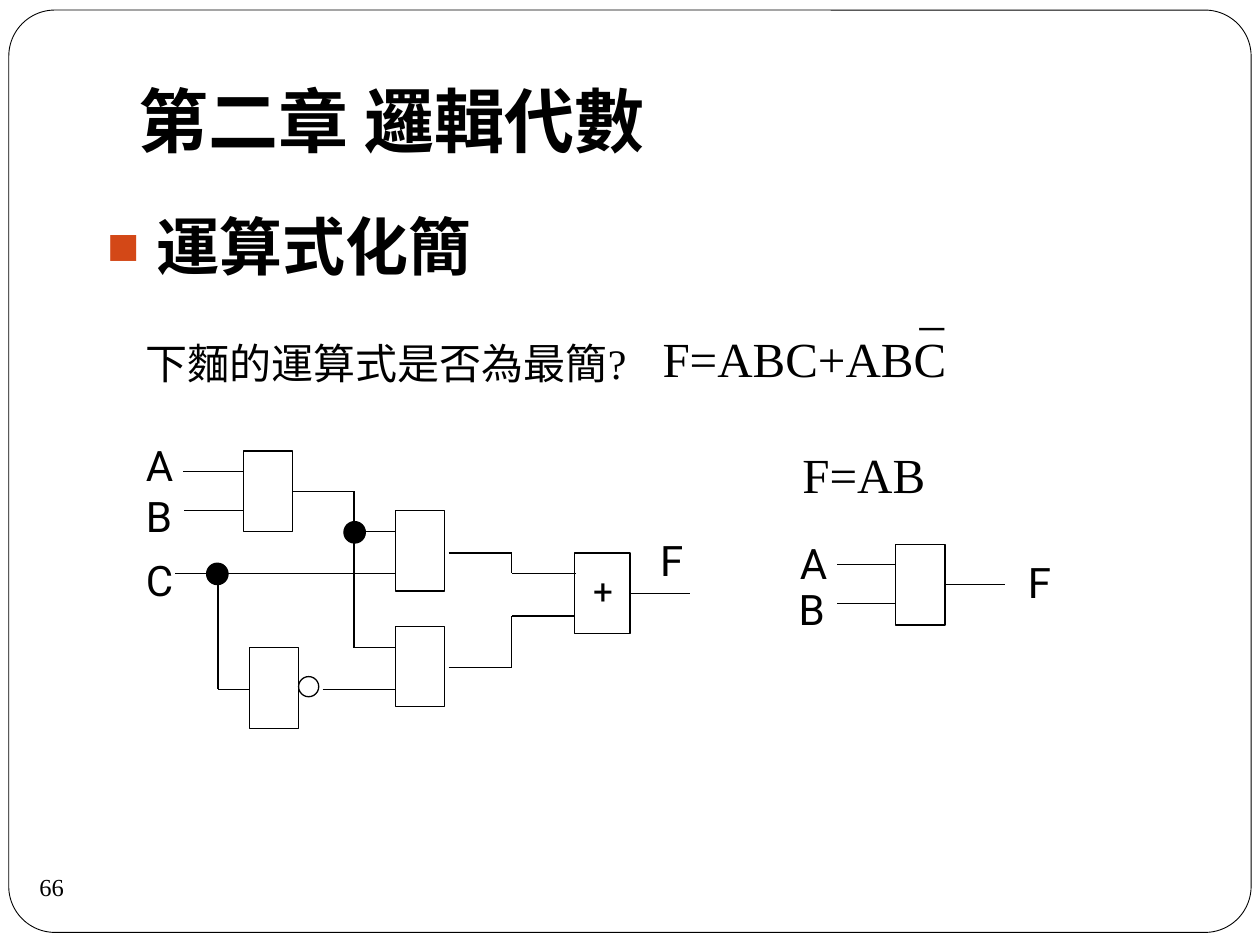
import pptx
import pptx.util
import pptx.dml.color
import pptx.enum.shapes
import pptx.enum.text
import pptx.oxml.ns
from lxml import etree

PX = 9144
BLACK = "000000"
CJK = "Noto Sans CJK JP"
SERIF = "Times New Roman"
SANS = "Roboto"
SHAPE = pptx.enum.shapes.MSO_SHAPE
ALIGN = pptx.enum.text.PP_ALIGN
ANCHOR = pptx.enum.text.MSO_ANCHOR
qn = pptx.oxml.ns.qn


def paint(color_format, color):
    color_format.rgb = pptx.dml.color.RGBColor.from_string(color)


def write(paragraph, text, size, face, bold=False):
    run = paragraph.add_run()
    run.text = text
    run.font.size = pptx.util.Pt(size)
    run.font.name = face
    run.font.bold = bold
    paint(run.font.color, BLACK)
    if face == CJK:
        etree.SubElement(run._r.get_or_add_rPr(), qn("a:ea"), typeface=face)


deck = pptx.Presentation()
deck.slide_width = 1000 * PX
deck.slide_height = 750 * PX
slide = deck.slides.add_slide(deck.slide_layouts[1])

frame = slide.shapes.add_shape(SHAPE.ROUNDED_RECTANGLE, 7 * PX, 8 * PX, 986 * PX, 732 * PX)
frame.adjustments[0] = 0.05
frame.shadow.inherit = False
frame.fill.solid()
paint(frame.fill.fore_color, "FFFFFF")
paint(frame.line.color, BLACK)
frame.line.width = pptx.util.Pt(0.5)
slide.shapes._spTree.insert(2, frame._element)

page_number = slide.shapes.add_shape(SHAPE.OVAL, 16 * PX, 679 * PX, 50 * PX, 50 * PX)
page_number.shadow.inherit = False
page_number.fill.background()
page_number.line.fill.background()
number_text = page_number.text_frame
number_text.margin_left = number_text.margin_right = 0
number_text.margin_top = number_text.margin_bottom = 0
number_text.word_wrap = False
number_text.vertical_anchor = ANCHOR.MIDDLE
number_text.paragraphs[0].alignment = ALIGN.CENTER
write(number_text.paragraphs[0], "66", 14, SERIF)

chapter = slide.shapes.title
chapter.left, chapter.top, chapter.width, chapter.height = 100 * PX, 30 * PX, 850 * PX, 108 * PX
chapter.text_frame.vertical_anchor = ANCHOR.BOTTOM
chapter.text_frame.margin_bottom = 10 * PX
chapter.text_frame.paragraphs[0].alignment = ALIGN.LEFT
write(chapter.text_frame.paragraphs[0], "第二章 邏輯代數", 40, CJK, True)

topic = slide.placeholders[1]
topic.left, topic.top, topic.width, topic.height = 75 * PX, 160 * PX, 942 * PX, 500 * PX
topic_line = topic.text_frame.paragraphs[0]
topic_line.space_before = pptx.util.Pt(0)
bullet = topic_line._p.get_or_add_pPr()
bullet.set("marL", str(39 * PX))
bullet.set("indent", str(-39 * PX))
bullet_color = etree.SubElement(bullet, qn("a:buClr"))
etree.SubElement(bullet_color, qn("a:srgbClr"), val="D34817")
etree.SubElement(bullet, qn("a:buSzPct"), val="85000")
etree.SubElement(bullet, qn("a:buChar"), char="■")
write(topic_line, "運算式化簡", 36, CJK, True)

question = slide.shapes.add_textbox(106 * PX, 263 * PX, 402 * PX, 50 * PX)
question.text_frame.word_wrap = False
write(question.text_frame.paragraphs[0], "下麵的運算式是否為最簡?", 24, SERIF)

GATE_WIDTH, GATE_HEIGHT = 39, 64
LABEL_WIDTH, LABEL_HEIGHT = 39, 50
circuits = [
    {
        "gates": [(193, 358, GATE_WIDTH), (314, 405, GATE_WIDTH), (198, 514, GATE_WIDTH),
                  (314, 497, GATE_WIDTH), (456, 439, 44)],
        "outputs": [(0, 280), (4, 548)],
        "wires": [
            (193, 374, 145, 374), (193, 405, 146, 405),
            (281, 390, 281, 514), (281, 422, 314, 422), (281, 514, 314, 514),
            (314, 455, 139, 455), (173, 455, 173, 547), (173, 547, 198, 547),
            (256, 547, 314, 547),
            (356, 439, 406, 439), (406, 439, 406, 455), (457, 455, 406, 455),
            (356, 530, 406, 530), (406, 489, 406, 530), (456, 489, 406, 489),
        ],
        "dots": [(164, 447, 17, True), (273, 414, 17, True), (237, 537, 16, False)],
        "labels": [("A", 106, 344, 24), ("B", 106, 384, 24), ("C", 106, 435, 24),
                   ("+", 461, 447, 20), ("F", 514, 419, 24)],
    },
    {
        "gates": [(711, 432, GATE_WIDTH)],
        "outputs": [(0, 798)],
        "wires": [(711, 448, 664, 448), (711, 479, 664, 479)],
        "dots": [],
        "labels": [("A", 625, 422, 24), ("B", 624, 458, 24), ("F", 806, 437, 24)],
    },
]

for circuit in circuits:
    parts = slide.shapes.add_group_shape().shapes
    gates = [parts.add_shape(SHAPE.RECTANGLE, x * PX, y * PX, width * PX, GATE_HEIGHT * PX)
             for x, y, width in circuit["gates"]]
    wires = [parts.add_connector(pptx.enum.shapes.MSO_CONNECTOR.STRAIGHT, *(v * PX for v in ends))
             for ends in circuit["wires"]]
    for index, end_x in circuit["outputs"]:
        gate = gates[index]
        middle = gate.top + gate.height // 2
        output = parts.add_connector(pptx.enum.shapes.MSO_CONNECTOR.STRAIGHT,
                                     gate.left + gate.width, middle, end_x * PX, middle)
        output.begin_connect(gate, 3)
        wires.append(output)
    dots = []
    for x, y, size, filled in circuit["dots"]:
        dot = parts.add_shape(SHAPE.OVAL, x * PX, y * PX, size * PX, size * PX)
        dot.fill.background()
        if filled:
            dot.fill.solid()
            paint(dot.fill.fore_color, BLACK)
        dots.append(dot)
    for gate in gates:
        gate.fill.background()
    for part in gates + dots + wires:
        paint(part.line.color, BLACK)
        part.line.width = pptx.util.Pt(0.75)
    for part in gates + dots:
        part.shadow.inherit = False
    for wire in wires:
        etree.SubElement(wire._element.spPr, qn("a:effectLst"))
    for name, x, y, size in circuit["labels"]:
        label = parts.add_textbox(x * PX, y * PX, LABEL_WIDTH * PX, LABEL_HEIGHT * PX)
        label.text_frame.word_wrap = True
        write(label.text_frame.paragraphs[0], name, size, SANS)

OVERBAR_INDENT = 204
formulas = [
    (516, 219, 302, 94, [("_", OVERBAR_INDENT), ("F=ABC+ABC", 0)]),
    (627, 353, 142, 52, [("F=AB", 0)]),
]
for x, y, width, height, lines in formulas:
    formula = slide.shapes.add_textbox(x * PX, y * PX, width * PX, height * PX).text_frame
    formula.word_wrap = True
    for position, (text, indent) in enumerate(lines):
        line = formula.add_paragraph() if position else formula.paragraphs[0]
        line.line_spacing = pptx.util.Pt(30)
        line._p.get_or_add_pPr().set("marL", str(indent * PX))
        write(line, text, 28, SERIF)

deck.save("out.pptx")
